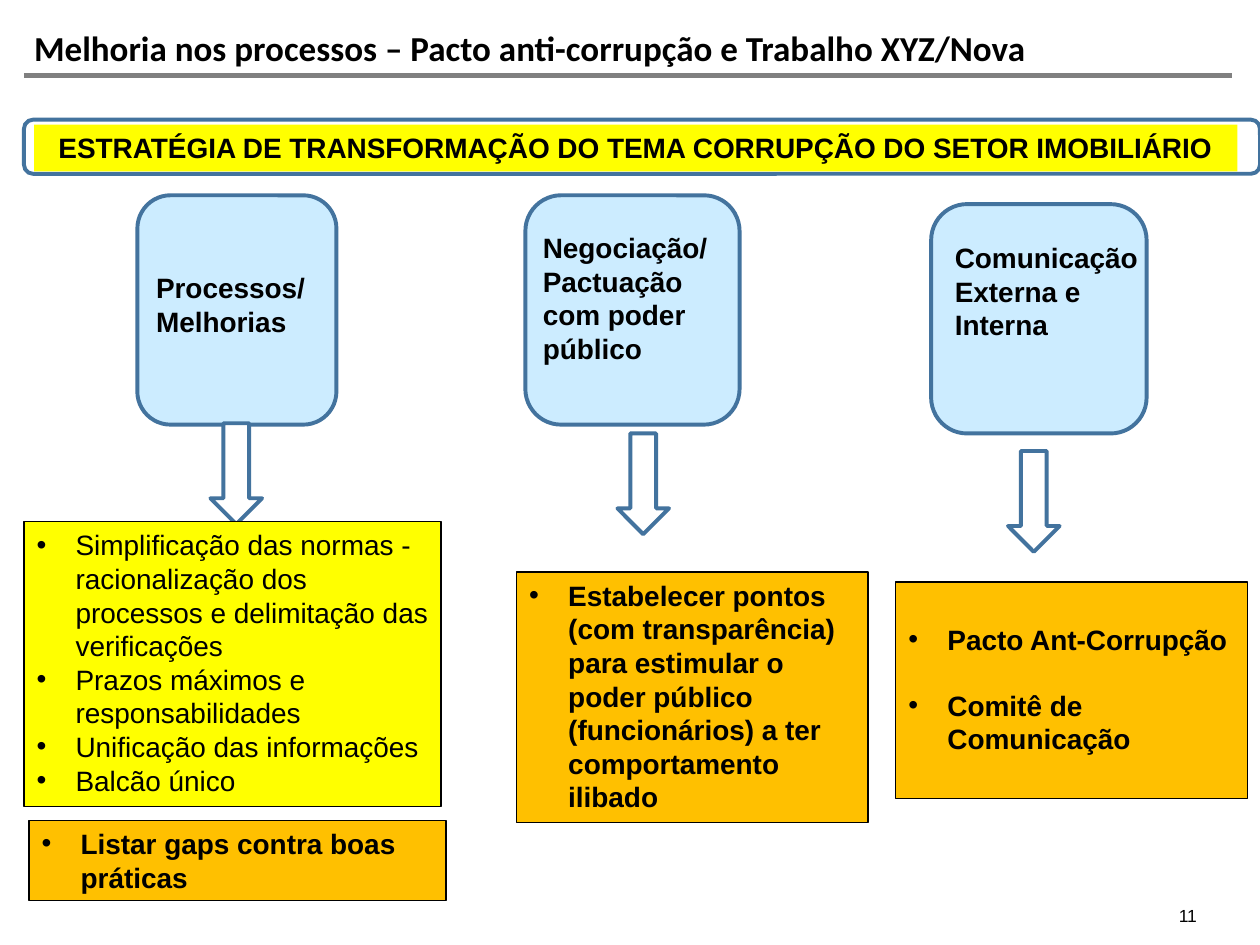
from dataclasses import dataclass

from lxml import etree
from pptx import Presentation
from pptx.dml.color import RGBColor
from pptx.enum.shapes import MSO_CONNECTOR, MSO_SHAPE
from pptx.enum.text import MSO_ANCHOR, MSO_AUTO_SIZE, PP_ALIGN
from pptx.oxml.ns import qn
from pptx.util import Inches, Pt

ROUNDED = MSO_SHAPE.ROUNDED_RECTANGLE
RECTANGLE = MSO_SHAPE.RECTANGLE
DOWN_ARROW = MSO_SHAPE.DOWN_ARROW
STRAIGHT = MSO_CONNECTOR.STRAIGHT
TOP, BOTTOM = MSO_ANCHOR.TOP, MSO_ANCHOR.BOTTOM
LEFT, CENTER, RIGHT = PP_ALIGN.LEFT, PP_ALIGN.CENTER, PP_ALIGN.RIGHT
NO_AUTOFIT = MSO_AUTO_SIZE.NONE

BLACK = RGBColor(0x00, 0x00, 0x00)
WHITE = RGBColor(0xFF, 0xFF, 0xFF)
GRAY = RGBColor(0x80, 0x80, 0x80)
BLUE = RGBColor(0x43, 0x73, 0x9E)
PALE_BLUE = RGBColor(0xCC, 0xEC, 0xFF)
YELLOW = RGBColor(0xFF, 0xFF, 0x00)
ORANGE = RGBColor(0xFF, 0xC0, 0x00)

COMPARISON_LAYOUT = 4


@dataclass(frozen=True)
class Box:
    left: float
    top: float
    width: float
    height: float

    def emu(self) -> tuple:
        return tuple(Inches(v) for v in (self.left, self.top, self.width, self.height))


@dataclass(frozen=True)
class Pillar:
    heading: str
    frame: Box
    label: Box
    arrow_left: float
    arrow_top: float


@dataclass(frozen=True)
class ActionList:
    placeholder: int
    box: Box
    items: tuple
    fill: RGBColor = ORANGE
    bold: bool = True
    inset_top: float = 0.05
    gap: float = 0


PILLARS = (
    Pillar("Processos/ Melhorias", Box(1.09, 1.55, 1.58, 1.82),
           Box(1.14, 2.1, 1.62, 0.64), 1.67, 3.36),
    Pillar("Negociação/ Pactuação com poder público", Box(4.17, 1.55, 1.7, 1.82),
           Box(4.21, 1.78, 1.57, 1.18), 4.9, 3.44),
    Pillar("Comunicação Externa e Interna", Box(7.39, 1.62, 1.71, 1.82),
           Box(7.48, 1.86, 1.67, 0.91), 8, 3.58),
)

ACTION_LISTS = (
    ActionList(1, Box(0.19, 4.14, 3.31, 2.26), (
        "Simplificação das normas - racionalização dos processos e delimitação das verificações",
        "Prazos máximos e responsabilidades",
        "Unificação das informações",
        "Balcão único",
    ), fill=YELLOW, bold=False),
    ActionList(2, Box(4.1, 4.54, 2.79, 1.99), (
        "Estabelecer pontos (com transparência) para estimular o poder público "
        "(funcionários) a ter comportamento ilibado",
    )),
    ActionList(3, Box(7.11, 4.62, 2.79, 1.72), (
        "Pacto Ant-Corrupção",
        "Comitê de Comunicação",
    ), inset_top=0.32, gap=18.4),
    ActionList(4, Box(0.23, 6.51, 3.31, 0.64), ("Listar gaps contra boas práticas",)),
)


def place(shape, box: Box) -> None:
    shape.left, shape.top, shape.width, shape.height = box.emu()


def format_text(frame, size: float = 16, bold: bool = True, font: str = "Arial",
                align=LEFT, anchor=TOP) -> None:
    frame.word_wrap = True
    frame.auto_size = NO_AUTOFIT
    frame.vertical_anchor = anchor
    for paragraph in frame.paragraphs:
        paragraph.alignment = align
        for run in paragraph.runs:
            run.font.name = font
            run.font.size = Pt(size)
            run.font.bold = bold
            run.font.color.rgb = BLACK


def clear_margins(frame) -> None:
    frame.margin_left = frame.margin_top = frame.margin_right = frame.margin_bottom = 0


def add_outline(slide, kind, box: Box, fill: RGBColor) -> None:
    outline = slide.shapes.add_shape(kind, *box.emu())
    outline.shadow.inherit = False
    outline.fill.solid()
    outline.fill.fore_color.rgb = fill
    outline.line.color.rgb = BLUE
    outline.line.width = Pt(2.25)


def add_header(slide) -> None:
    title = slide.shapes.title
    place(title, Box(0.27, 0.25, 9.51, 0.35))
    title.text_frame.text = "Melhoria nos processos – Pacto anti-corrupção e Trabalho XYZ/Nova"
    clear_margins(title.text_frame)
    format_text(title.text_frame, size=20, font="Calibri")
    title.text_frame.paragraphs[0].line_spacing = 0.9

    rule = slide.shapes.add_connector(
        STRAIGHT, Inches(0.19), Inches(0.6), Inches(9.78), Inches(0.6))
    rule.line.color.rgb = GRAY
    rule.line.width = Pt(3.2)
    etree.SubElement(rule._element.spPr, qn("a:effectLst"))


def add_strategy(slide) -> None:
    add_outline(slide, ROUNDED, Box(0.19, 0.95, 9.81, 0.43), WHITE)
    strategy = slide.shapes.add_shape(RECTANGLE, *Box(0.27, 0.99, 9.55, 0.37).emu())
    strategy.shadow.inherit = False
    strategy.fill.solid()
    strategy.fill.fore_color.rgb = YELLOW
    strategy.line.fill.background()
    strategy.text_frame.text = "ESTRATÉGIA DE TRANSFORMAÇÃO DO TEMA CORRUPÇÃO DO SETOR IMOBILIÁRIO"
    format_text(strategy.text_frame, align=CENTER)


def add_pillar(slide, pillar: Pillar) -> None:
    add_outline(slide, ROUNDED, pillar.frame, PALE_BLUE)
    heading = slide.shapes.add_textbox(*pillar.label.emu())
    heading.text_frame.text = pillar.heading
    format_text(heading.text_frame)
    add_outline(slide, DOWN_ARROW, Box(pillar.arrow_left, pillar.arrow_top, 0.41, 0.8), WHITE)


def add_bullet(paragraph) -> None:
    properties = paragraph._p.get_or_add_pPr()
    properties.set("marL", str(Inches(0.31)))
    properties.set("indent", str(-Inches(0.31)))
    etree.SubElement(properties, qn("a:buFont"), typeface="Arial")
    etree.SubElement(properties, qn("a:buChar"), char="•")


def fill_action_list(slide, actions: ActionList) -> None:
    body = slide.placeholders[actions.placeholder]
    place(body, actions.box)
    body.fill.solid()
    body.fill.fore_color.rgb = actions.fill
    body.line.color.rgb = BLACK
    body.line.width = Pt(0.75)
    frame = body.text_frame
    frame.text = "\n".join(actions.items)
    frame.margin_top = Inches(actions.inset_top)
    for number, paragraph in enumerate(frame.paragraphs):
        add_bullet(paragraph)
        paragraph.space_before = Pt(actions.gap if number else 0)
    format_text(frame, bold=actions.bold)
    slide.shapes._spTree.append(body._element)


def add_page_number(slide) -> None:
    page = slide.shapes.add_textbox(*Box(7.16, 7.18, 2.34, 0.17).emu())
    page.text_frame.text = "11"
    clear_margins(page.text_frame)
    format_text(page.text_frame, size=10, bold=False, align=RIGHT, anchor=BOTTOM)


def main() -> None:
    deck = Presentation()
    deck.slide_width, deck.slide_height = Inches(10), Inches(7.5)
    slide = deck.slides.add_slide(deck.slide_layouts[COMPARISON_LAYOUT])
    add_header(slide)
    add_strategy(slide)
    for pillar in PILLARS:
        add_pillar(slide, pillar)
    for actions in ACTION_LISTS:
        fill_action_list(slide, actions)
    add_page_number(slide)
    deck.save("out.pptx")


if __name__ == "__main__":
    main()
